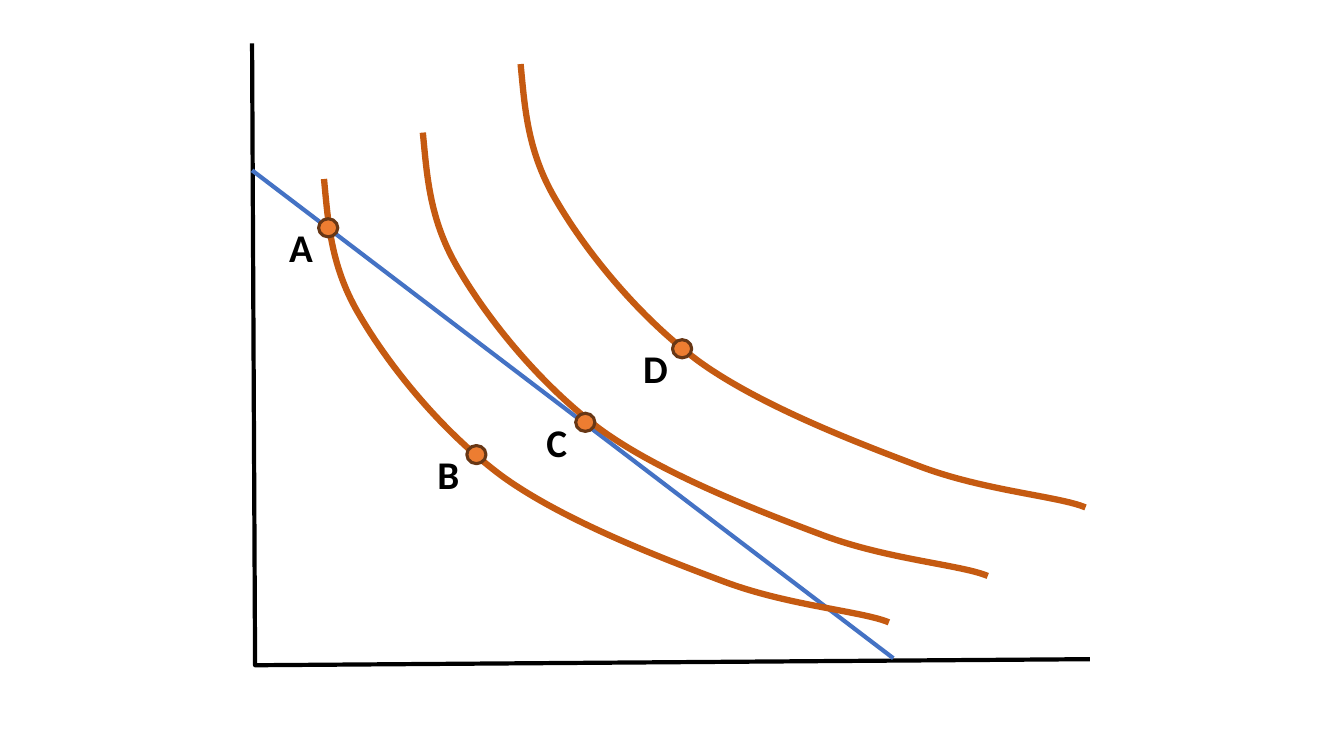
import pptx
import pptx.util
import pptx.dml.color
import pptx.enum.shapes
import pptx.enum.text
import pptx.oxml.ns
import pptx.oxml.xmlchemy

Inches = pptx.util.Inches
Pt = pptx.util.Pt
RGBColor = pptx.dml.color.RGBColor

BLACK = RGBColor(0x00, 0x00, 0x00)
BLUE = RGBColor(0x44, 0x72, 0xC4)
RUST = RGBColor(0xC5, 0x5A, 0x11)
ORANGE = RGBColor(0xED, 0x7D, 0x31)
BROWN = RGBColor(0x68, 0x37, 0x15)

AXES = [(2.5, 0.43), (2.53, 6.6), (10.81, 6.54)]

# Bezier points of an indifference curve, before its tilt
INDIFFERENCE = [
    (0, 0),
    (0.11, 0.43), (0.2, 0.86), (0.57, 1.3),
    (0.93, 1.74), (1.53, 2.29), (2.19, 2.64),
    (2.85, 2.98), (3.86, 3.2), (4.53, 3.34),
    (5.2, 3.48), (5.94, 3.42), (6.21, 3.49),
]
TILT = 8.8
CURVE_ORIGINS = [(2.91, 2.23), (3.89, 1.77), (4.86, 1.09)]
BUNDLES = [("A", 3.16, 2.17), ("B", 4.63, 4.42),
           ("C", 5.71, 4.1), ("D", 6.67, 3.37)]


class Diagram:
    font = "Calibri"
    label_size = 28
    label_width, label_height = 0.39, 0.57
    dot_width, dot_height = 0.19, 0.18

    def __init__(self, slide):
        self.shapes = slide.shapes

    def style_line(self, sp, color, width):
        sp.line.color.rgb = color
        sp.line.width = Pt(width)

    def polyline(self, points, color, width):
        pts = [(Inches(x), Inches(y)) for x, y in points]
        builder = self.shapes.build_freeform(*pts[0])
        builder.add_line_segments(pts[1:], close=False)
        sp = builder.convert_to_shape()
        sp.shadow.inherit = False
        sp.fill.background()
        self.style_line(sp, color, width)
        return sp

    def curve(self, points, origin, tilt, color, width):
        """Draw Bezier points, three a segment after the first, then tilt them."""
        left, top = origin
        sp = self.polyline([(left + x, top + y) for x, y in points], color, width)
        segments = list(sp._element.iter(pptx.oxml.ns.qn("a:lnTo")))
        for i in range(0, len(segments), 3):
            bezier = pptx.oxml.xmlchemy.OxmlElement("a:cubicBezTo")
            segments[i].addprevious(bezier)
            for segment in segments[i:i + 3]:
                bezier.append(segment[0])
                segment.getparent().remove(segment)
        sp.rotation = tilt

    def line(self, start, end, color, width):
        ends = [Inches(v) for v in start + end]
        cxn = self.shapes.add_connector(
            pptx.enum.shapes.MSO_CONNECTOR.STRAIGHT, *ends)
        self.style_line(cxn, color, width)
        cxn._element.spPr.append(pptx.oxml.xmlchemy.OxmlElement("a:effectLst"))

    def dot(self, left, top):
        sp = self.shapes.add_shape(
            pptx.enum.shapes.MSO_SHAPE.OVAL, Inches(left), Inches(top),
            Inches(self.dot_width), Inches(self.dot_height))
        sp.shadow.inherit = False
        sp.fill.solid()
        sp.fill.fore_color.rgb = ORANGE
        self.style_line(sp, BROWN, 2.25)

    def label(self, text, left, top):
        sp = self.shapes.add_textbox(
            Inches(left), Inches(top),
            Inches(self.label_width), Inches(self.label_height))
        tf = sp.text_frame
        tf.word_wrap = True
        tf.auto_size = pptx.enum.text.MSO_AUTO_SIZE.SHAPE_TO_FIT_TEXT
        p = tf.paragraphs[0]
        p.alignment = pptx.enum.text.PP_ALIGN.CENTER
        r = p.add_run()
        r.text = text
        r.font.name = self.font
        r.font.size = Pt(self.label_size)
        r.font.bold = True
        r.font.color.rgb = BLACK

    def bundle(self, name, left, top):
        """Mark a bundle with a dot and its name to the left."""
        self.dot(left, top)
        self.label(name, left - self.label_width, top)


def main():
    prs = pptx.Presentation()
    prs.slide_width = Inches(13.33)
    prs.slide_height = Inches(7.5)
    diagram = Diagram(prs.slides.add_slide(prs.slide_layouts[6]))

    diagram.polyline(AXES, BLACK, 3)
    diagram.line((2.5, 1.69), (8.86, 6.53), BLUE, 3)
    for origin in CURVE_ORIGINS:
        diagram.curve(INDIFFERENCE, origin, TILT, RUST, 4.5)
    for name, left, top in BUNDLES:
        diagram.bundle(name, left, top)

    prs.save("out.pptx")


if __name__ == "__main__":
    main()
